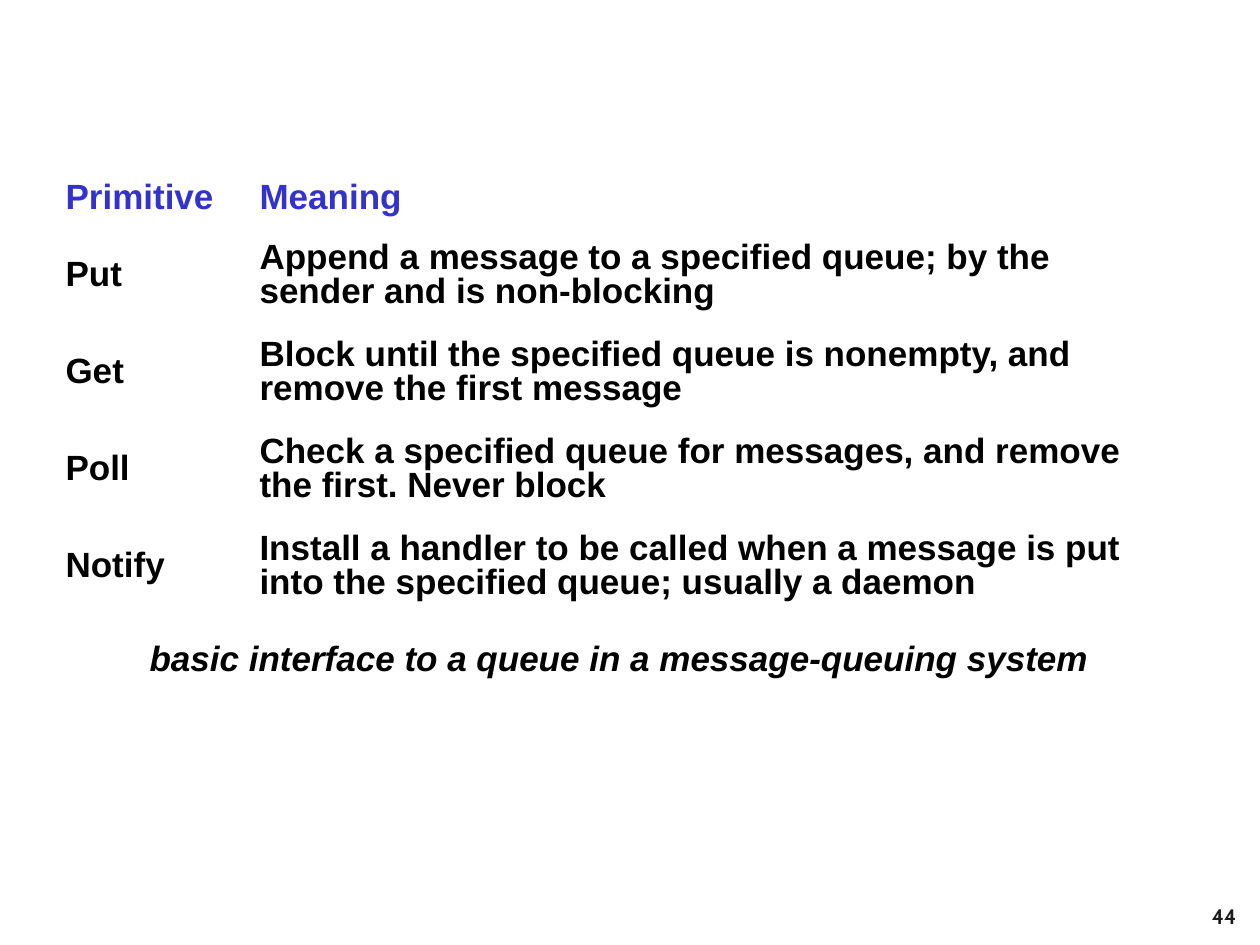
import pptx
import pptx.util
import pptx.dml.color
import pptx.enum.text
from dataclasses import dataclass

Inches, Pt = pptx.util.Inches, pptx.util.Pt
RGB = pptx.dml.color.RGBColor.from_string
ALIGN = pptx.enum.text.PP_ALIGN
ANCHOR = pptx.enum.text.MSO_ANCHOR


@dataclass(frozen=True)
class Theme:
    body_font: str = "Arial"
    number_font: str = "Cabin"
    heading: str = "3333CC"
    ink: str = "000000"
    number_ink: str = "1C1C1C"
    body_size: int = 20
    number_size: int = 12
    space_before: float = 12.5


THEME = Theme()
BODY = {"name": THEME.body_font, "size": Pt(THEME.body_size), "bold": True}
NUMBER = {"name": THEME.number_font, "size": Pt(THEME.number_size), "bold": True}
SPACED = {"space_before": Pt(THEME.space_before)}
CELL = {
    "vertical_anchor": ANCHOR.MIDDLE,
    "margin_left": Inches(0.1),
    "margin_right": Inches(0.1),
    "margin_top": Inches(0.11),
    "margin_bottom": Inches(0.05),
}

PRIMITIVES = [
    ("Primitive", "Meaning"),
    ("Put", "Append a message to a specified queue; by the sender and is non-blocking"),
    ("Get", "Block until the specified queue is nonempty, and remove the first message"),
    ("Poll", "Check a specified queue for messages, and remove the first. Never block"),
    ("Notify", "Install a handler to be called when a message is put "
               "into the specified queue; usually a daemon"),
]


def apply(target, values):
    for name, value in values.items():
        setattr(target, name, value)


def write(tf, text, font, color, paragraph):
    p = tf.paragraphs[0]
    apply(p, paragraph)
    r = p.add_run()
    r.text = text
    apply(r.font, font)
    r.font.color.rgb = RGB(color)


def add_text(slide, box, text, font, color, paragraph, anchor=ANCHOR.TOP):
    sp = slide.shapes.add_textbox(*map(Inches, box))
    tf = sp.text_frame
    apply(tf, {"word_wrap": True, "vertical_anchor": anchor})
    write(tf, text, font, color, paragraph)


def add_table(slide, box, rows, widths, heights):
    table = slide.shapes.add_table(len(rows), len(widths), *map(Inches, box)).table
    apply(table, {"first_row": False, "horz_banding": False})
    for column, width in zip(table.columns, widths):
        column.width = Inches(width)
    for i, (row, height) in enumerate(zip(rows, heights)):
        table.rows[i].height = Inches(height)
        color = THEME.ink if i else THEME.heading
        for j, text in enumerate(row):
            cell = table.cell(i, j)
            cell.fill.background()
            apply(cell, CELL)
            write(cell.text_frame, text, BODY, color, SPACED | {"line_spacing": 0.87})


def main():
    prs = pptx.Presentation()
    apply(prs, {"slide_width": Inches(10), "slide_height": Inches(7.5)})
    s = prs.slides.add_slide(prs.slide_layouts[6])

    # Slide number
    add_text(s, (9.33, 7.25, 0.58, 0.17), "44", NUMBER, THEME.number_ink,
             {"alignment": ALIGN.RIGHT}, ANCHOR.BOTTOM)

    # Caption below the table
    add_text(s, (0.83, 5, 8.17, 0.42),
             "basic interface to a queue in a message-queuing system",
             BODY | {"italic": True}, THEME.ink, SPACED | {"alignment": ALIGN.CENTER})

    # Queue primitives: a heading row, then equal rows
    heights = [0.45] + [0.77] * (len(PRIMITIVES) - 1)
    add_table(s, (0.42, 1.33, 9, sum(heights)), PRIMITIVES, (1.54, 7.46), heights)

    prs.save("out.pptx")


if __name__ == "__main__":
    main()
